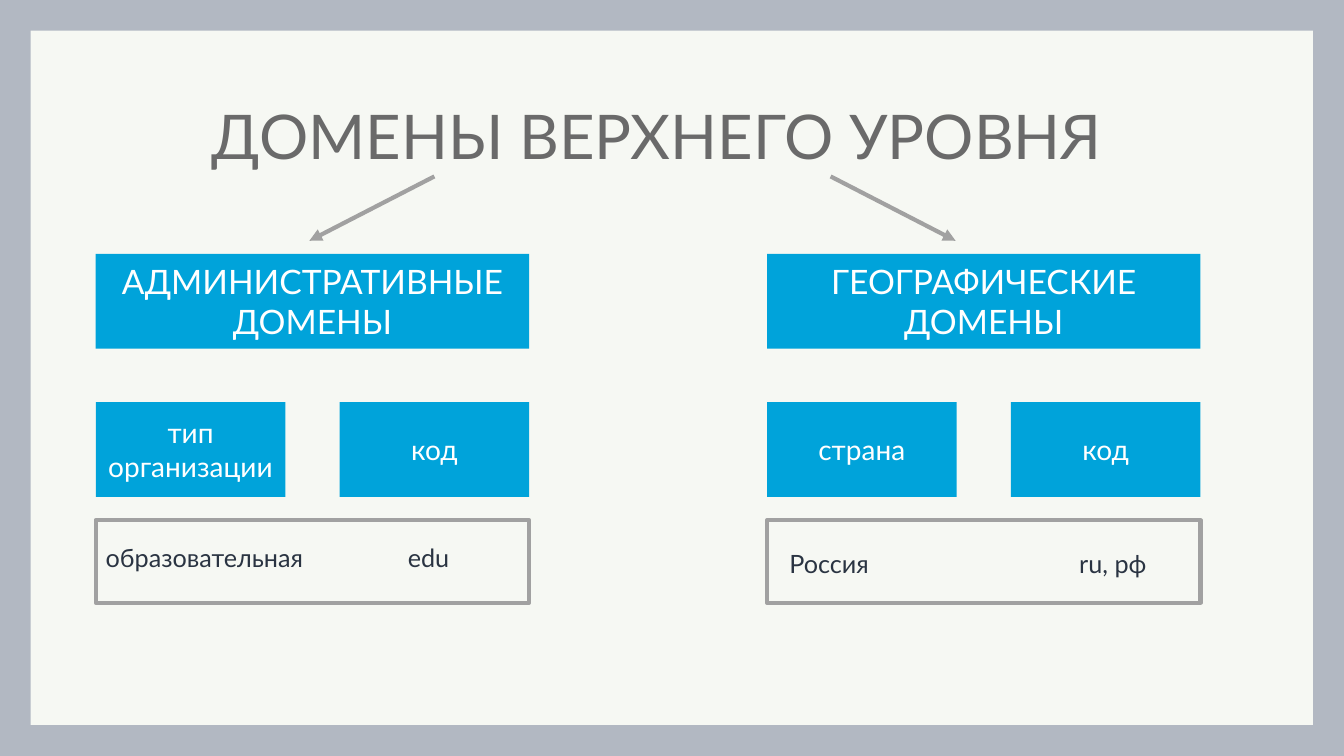
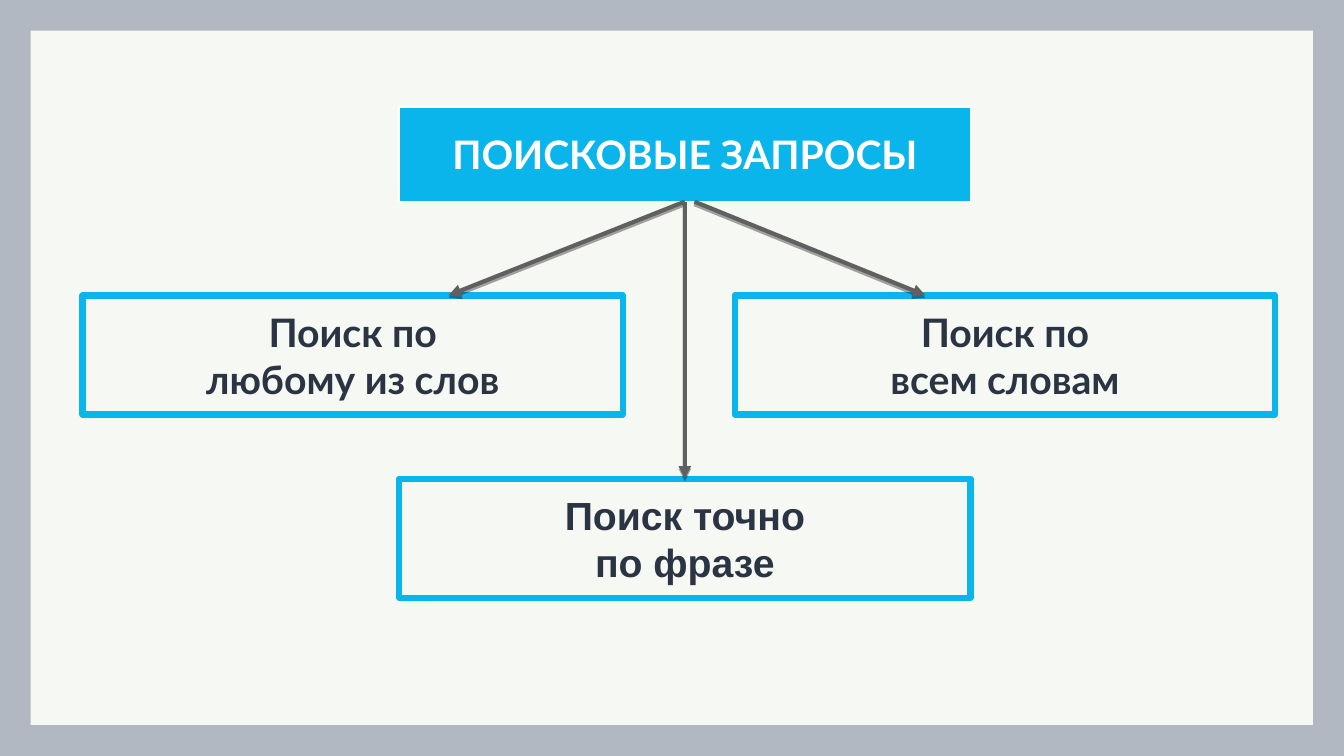
from dataclasses import dataclass

from lxml.etree import SubElement
from pptx import Presentation
from pptx.dml.color import RGBColor
from pptx.enum.shapes import MSO_CONNECTOR as CONNECTOR, MSO_SHAPE as SHAPE
from pptx.enum.text import MSO_ANCHOR as ANCHOR, MSO_AUTO_SIZE as AUTO, PP_ALIGN as ALIGN
from pptx.oxml.ns import qn
from pptx.util import Pt


@dataclass(frozen=True)
class Theme:
    width: float = 960
    height: float = 540
    band: float = 22
    font: str = "Lato"
    alt_font: str = "Arial"
    paper: str = "F6F8F3"
    frame: str = "B2B8C2"
    title: str = "6A6A6A"
    ink: str = "2A3442"
    white: str = "FFFFFF"
    blue: str = "00A3DA"
    sky: str = "0AB5EC"
    grey: str = "A1A1A1"
    dark: str = "606060"
    title_size: float = 44
    query_size: float = 28
    head_size: float = 24
    label_size: float = 20
    text_size: float = 18


THEME = Theme()


# Text and shape helpers
def write(shape, text, size=THEME.text_size, color=THEME.ink, font=THEME.font, bold=False,
          align=ALIGN.CENTER, anchor=ANCHOR.MIDDLE, wrap=True, spacing=None, inset=7.2, tab=None):
    """Put text in a shape, one paragraph per line."""
    frame = shape.text_frame
    frame.auto_size = AUTO.NONE
    frame.word_wrap = wrap
    frame.vertical_anchor = anchor
    frame.margin_left = Pt(inset)
    for index, line in enumerate(text.split("\n")):
        para = frame.add_paragraph() if index else frame.paragraphs[0]
        para.alignment = align
        if spacing:
            para.line_spacing = spacing
        if tab:
            tabs = SubElement(para._p.get_or_add_pPr(), qn("a:tabLst"))
            SubElement(tabs, qn("a:tab"), pos=str(Pt(tab)), algn="l")
        span = para.add_run()
        span.text = line
        span.font.name = font
        span.font.size = Pt(size)
        span.font.bold = bold
        span.font.color.rgb = RGBColor.from_string(color)


def paint(shape, fill=None, line=None, weight=0):
    if fill:
        shape.fill.solid()
        shape.fill.fore_color.rgb = RGBColor.from_string(fill)
    else:
        shape.fill.background()
    if line:
        shape.line.color.rgb = RGBColor.from_string(line)
        shape.line.width = Pt(weight)
    else:
        shape.line.fill.background()


def add_box(page, left, top, width, height, **look):
    box = page.shapes.add_shape(SHAPE.RECTANGLE, Pt(left), Pt(top), Pt(width), Pt(height))
    box.shadow.inherit = False
    paint(box, **look)
    return box


def add_arrow(page, start, end, color, shadow=False):
    arrow = page.shapes.add_connector(CONNECTOR.STRAIGHT, *map(Pt, start + end))
    arrow.line.color.rgb = RGBColor.from_string(color)
    arrow.line.width = Pt(3)
    properties = arrow.element.spPr
    SubElement(properties.find(qn("a:ln")), qn("a:tailEnd"), type="triangle")
    effects = SubElement(properties, qn("a:effectLst"))
    if shadow:
        outer = SubElement(effects, qn("a:outerShdw"), blurRad="0", dist=str(Pt(1.8)),
                           dir="5400000", rotWithShape="0")
        black = SubElement(outer, qn("a:srgbClr"), val="000000")
        SubElement(black, qn("a:alpha"), val="35000")
    return arrow


def place_title(page, left, top, width, height):
    title = page.shapes.title
    title.left, title.top, title.width, title.height = map(Pt, (left, top, width, height))
    return title


# Shared background and frame, kept on the slide master
def style_master(deck, page):
    master = deck.slide_master
    master.background.fill.solid()
    master.background.fill.fore_color.rgb = RGBColor.from_string(THEME.paper)
    width, height, band = THEME.width, THEME.height, THEME.band
    for area in ((0, 0, width, band), (0, height - band, width, band),
                 (0, 0, band, height), (width - band, 0, band, height)):
        bar = add_box(page, *area, fill=THEME.frame)
        master.shapes.element.insert(2, bar.element)


# Slide 1: top-level domains
def add_domain_group(page, left, heading, labels, example, example_top, inset):
    width, height, label_width = 309.6, 67.7, 135.4
    head = add_box(page, left, 181.4, width, height, fill=THEME.blue)
    write(head, heading, size=THEME.head_size, color=THEME.white)
    for index, label in enumerate(labels):
        label_left = left + index * (width - label_width)
        box = add_box(page, label_left, 287.3, label_width, height, fill=THEME.blue)
        write(box, label, size=THEME.label_size, color=THEME.white)
    row = page.shapes.add_textbox(Pt(left), Pt(example_top), Pt(305.3), Pt(29))
    write(row, example, align=ALIGN.LEFT, anchor=ANCHOR.TOP, inset=inset, tab=223 - inset)
    add_box(page, left, 371.5, width, 59, line=THEME.grey, weight=3)


def build_domains(page):
    title = place_title(page, 41.8, 47.5, 855.4, 104.4)
    write(title, "ДОМЕНЫ ВЕРХНЕГО УРОВНЯ", size=THEME.title_size, color=THEME.title, spacing=0.9)
    add_domain_group(page, 68.4, "АДМИНИСТРАТИВНЫЕ ДОМЕНЫ", ("тип организации", "код"),
                     "образовательная\tedu", 383.8, 7.2)
    add_domain_group(page, 547.9, "ГЕОГРАФИЧЕСКИЕ ДОМЕНЫ", ("страна", "код"),
                     "Россия\tru, рф", 388.1, 16)
    for start, end in ((310.3, 221), (593.3, 682.6)):
        add_arrow(page, (start, 126), (end, 172), THEME.grey)


# Slide 2: search queries
def add_query(page, left, top, width, text, font=THEME.font):
    box = add_box(page, left, top, width, 85, line=THEME.sky, weight=4.5)
    write(box, text, size=THEME.query_size, font=font, bold=True, wrap=False)
    return box


def build_queries(page):
    left, width, side_width, side_top, phrase_top = 285.1, 408.2, 385.9, 211, 342
    title = place_title(page, left, 76.3, width, 67.7)
    paint(title, fill=THEME.sky, line=THEME.white, weight=1.5)
    write(title, "ПОИСКОВЫЕ ЗАПРОСЫ", size=THEME.query_size, color=THEME.white,
          bold=True, wrap=False)

    add_query(page, 59, side_top, side_width, "Поиск по\nлюбому из слов")
    add_query(page, 524.9, side_top, side_width, "Поиск по\nвсем словам")
    phrase = add_query(page, left, phrase_top, width, "Поиск точно\nпо фразе", THEME.alt_font)

    middle, bottom = left + width / 2, 144
    any_arrow = add_arrow(page, (middle, bottom), (320.4, side_top), THEME.dark, shadow=True)
    any_arrow.begin_connect(title, 2)
    add_arrow(page, (496, bottom), (661, side_top), THEME.dark, shadow=True)
    phrase_arrow = add_arrow(page, (middle, bottom), (middle, phrase_top), THEME.dark, shadow=True)
    phrase_arrow.begin_connect(title, 2)
    phrase_arrow.end_connect(phrase, 0)


def main():
    deck = Presentation()
    deck.slide_width, deck.slide_height = Pt(THEME.width), Pt(THEME.height)
    title_only = deck.slide_layouts[5]
    domains, queries = (deck.slides.add_slide(title_only) for _ in range(2))
    style_master(deck, domains)
    build_domains(domains)
    build_queries(queries)
    deck.save("out.pptx")


if __name__ == "__main__":
    main()
